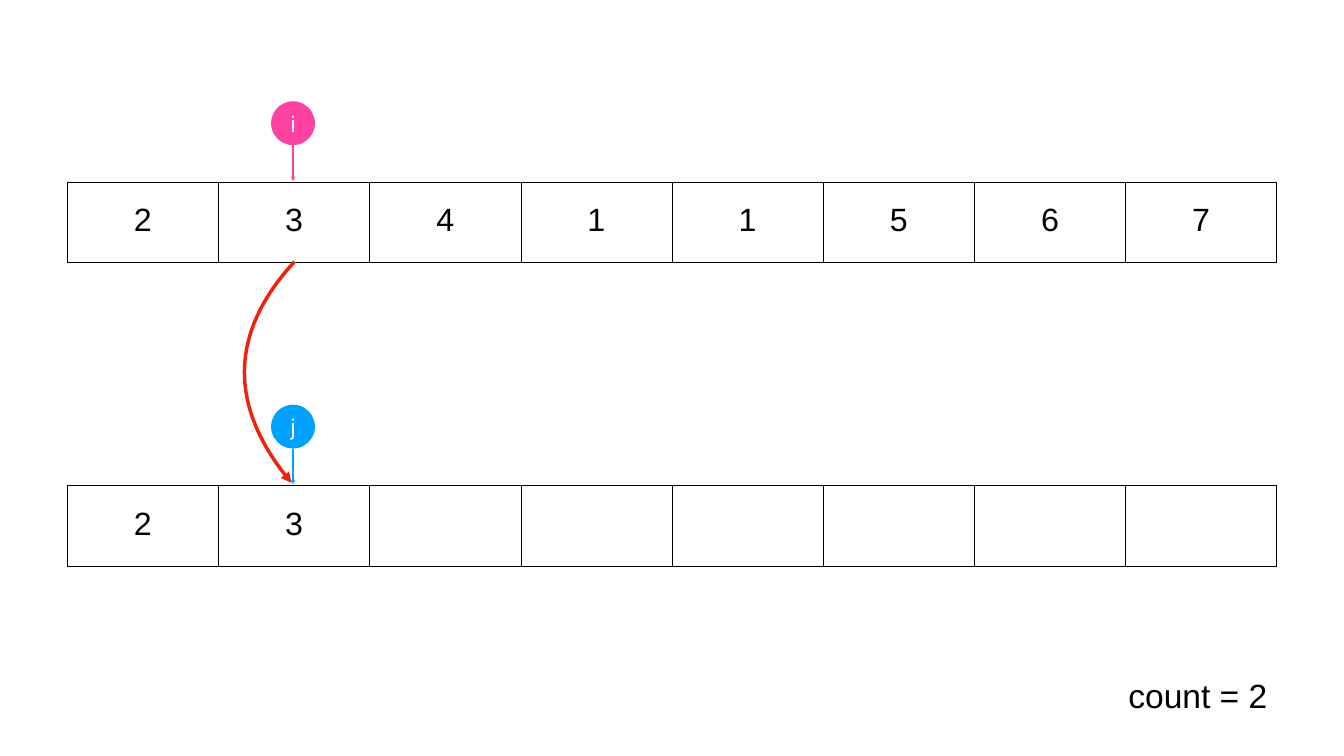
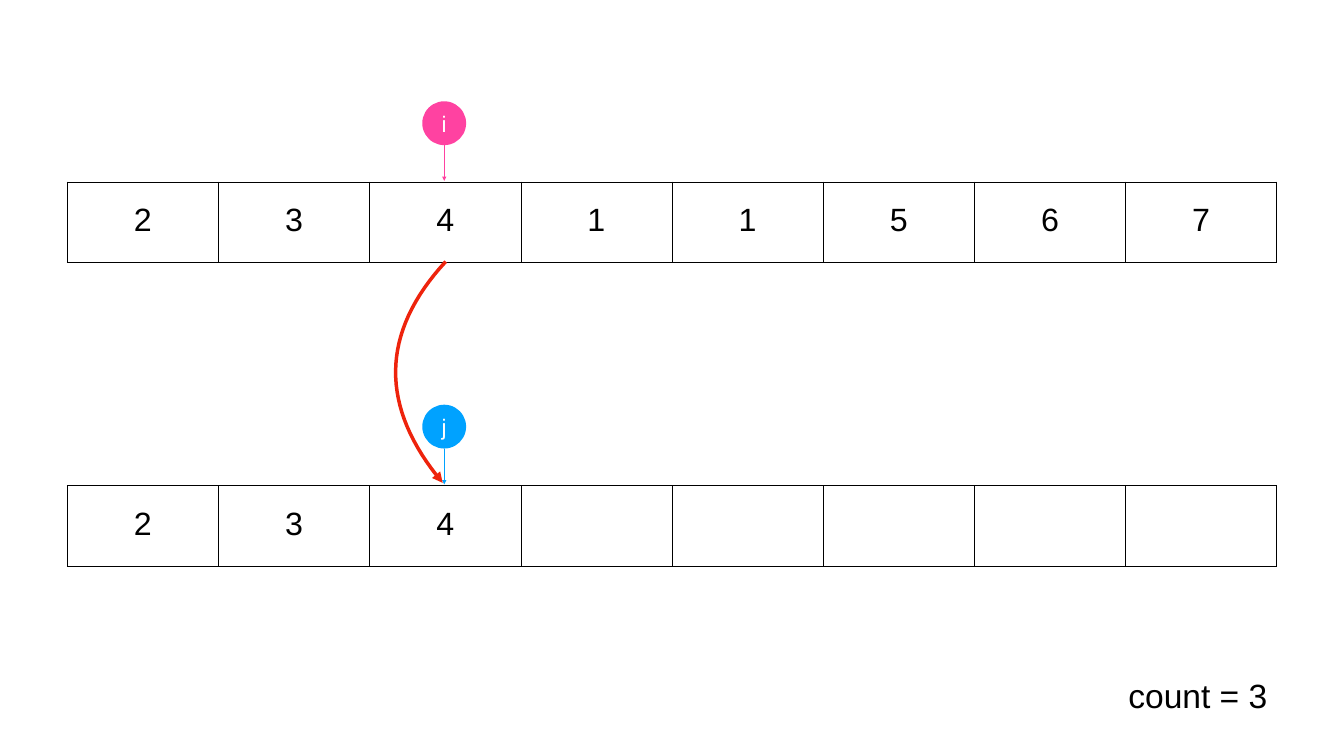
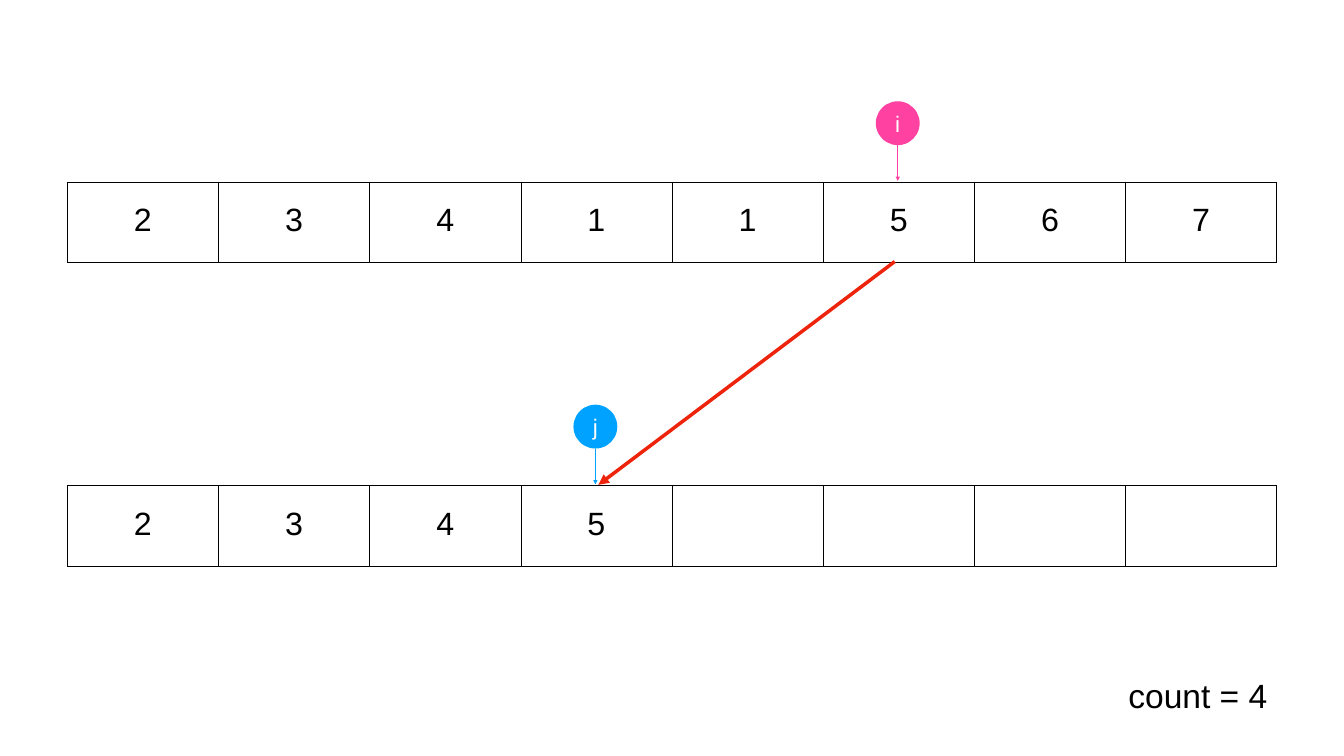
from pptx import Presentation
from pptx.dml.color import RGBColor
from pptx.enum.shapes import MSO_CONNECTOR, MSO_SHAPE
from pptx.enum.text import MSO_ANCHOR, MSO_AUTO_SIZE, PP_ALIGN
from pptx.oxml.ns import qn
from pptx.util import Inches, Pt
from lxml import etree

STRAIGHT = MSO_CONNECTOR.STRAIGHT
OVAL = MSO_SHAPE.OVAL
MIDDLE = MSO_ANCHOR.MIDDLE
FIT_SHAPE = MSO_AUTO_SIZE.SHAPE_TO_FIT_TEXT
LEFT, CENTER = PP_ALIGN.LEFT, PP_ALIGN.CENTER

SLIDE_W, SLIDE_H = 26.67, 15
COLUMNS, COLUMN_W, ROW_H = 8, 3, 1.6
ARRAY_LEFT = (SLIDE_W - COLUMNS * COLUMN_W) / 2
SOURCE_TOP, RESULT_TOP = 3.61, 9.63
BALL, BALL_RISE, BALL_SHIFT = 0.87, 1.6, -0.02
INSET = Inches(0.06)
CURVE_STEPS = 32

BLACK, WHITE = "000000", "FFFFFF"
PINK, BLUE, RED = "FF42A1", "00A2FF", "EE230C"

SOURCE = [2, 3, 4, 1, 1, 5, 6, 7]
STEPS = [(1, 1), (2, 2), (5, 3)]


def color(hex_value):
    return RGBColor.from_string(hex_value)


def column_center(column):
    return ARRAY_LEFT + (column + 0.5) * COLUMN_W


def set_all(target, values):
    for name, value in values.items():
        setattr(target, name, value)


def write(tf, text, size, hex_value, align, spacing=None):
    p = tf.paragraphs[0]
    set_all(p, {"alignment": align, "line_spacing": spacing})
    r = p.add_run()
    r.text = str(text)
    set_all(r.font, {"name": "Arial", "size": Pt(size)})
    r.font.color.rgb = color(hex_value)


def inset_middle(frame, anchor_name):
    sides = ("left", "top", "right", "bottom")
    set_all(frame, {f"margin_{side}": INSET for side in sides})
    setattr(frame, anchor_name, MIDDLE)


def add_borders(cell):
    tc_pr = cell._tc.get_or_add_tcPr()
    for side in ("a:lnL", "a:lnR", "a:lnT", "a:lnB"):
        ln = etree.SubElement(tc_pr, qn(side), w=str(Pt(1)))
        fill = etree.SubElement(ln, qn("a:solidFill"))
        etree.SubElement(fill, qn("a:srgbClr"), val=BLACK)


def add_array(slide, top, values):
    frame = slide.shapes.add_table(
        1, COLUMNS, Inches(ARRAY_LEFT), Inches(top),
        Inches(COLUMNS * COLUMN_W), Inches(ROW_H))
    table = frame.table
    set_all(table, {"first_row": False, "horz_banding": False})
    for column in range(COLUMNS):
        cell = table.cell(0, column)
        inset_middle(cell, "vertical_anchor")
        add_borders(cell)
        cell.fill.background()
        if column < len(values):
            write(cell.text_frame, values[column], 46, BLACK, CENTER, 0.9)


def style_arrow(sp, hex_value, width):
    sp.line.color.rgb = color(hex_value)
    sp.line.width = Pt(width)
    etree.SubElement(sp.line._get_or_add_ln(), qn("a:tailEnd"), type="triangle")


def add_arrow(slide, start, end, hex_value, width):
    sp = slide.shapes.add_connector(
        STRAIGHT, *(Inches(v) for v in (*start, *end)))
    style_arrow(sp, hex_value, width)
    etree.SubElement(sp._element.spPr, qn("a:effectLst"))


def add_pointer(slide, label, column, array_top, hex_value):
    x = column_center(column) + BALL_SHIFT
    top = array_top - BALL_RISE
    sp = slide.shapes.add_shape(
        OVAL, Inches(x - BALL / 2), Inches(top), Inches(BALL), Inches(BALL))
    sp.shadow.inherit = False
    sp.fill.solid()
    sp.fill.fore_color.rgb = color(hex_value)
    sp.line.fill.background()
    inset_middle(sp.text_frame, "vertical_anchor")
    write(sp.text_frame, label, 32, WHITE, CENTER)
    add_arrow(slide, (x, top + BALL), (x, array_top - 0.02), hex_value, 2)


def bezier(points, t):
    weights = ((1 - t) ** 3, 3 * t * (1 - t) ** 2, 3 * t * t * (1 - t), t ** 3)
    return tuple(Inches(sum(w * v for w, v in zip(weights, axis)))
                 for axis in zip(*points))


def add_curved_copy(slide, column):
    x = column_center(column)
    controls = [(x + 0.01, 5.19), (x - 1.3, 6.61), (x - 1.31, 8.08), (x - 0.05, 9.58)]
    start, *rest = [bezier(controls, n / CURVE_STEPS) for n in range(CURVE_STEPS + 1)]
    builder = slide.shapes.build_freeform(*start)
    builder.add_line_segments(rest, close=False)
    sp = builder.convert_to_shape()
    sp.shadow.inherit = False
    sp.fill.background()
    style_arrow(sp, RED, 5)


def add_copy(slide, i, j):
    if i == j:
        add_curved_copy(slide, i)
    else:
        start = column_center(i) - 0.08, 5.19
        end = column_center(j) + 0.04, 9.62
        add_arrow(slide, start, end, RED, 5)


def add_count(slide, count):
    sp = slide.shapes.add_textbox(
        Inches(22.33), Inches(13.35), Inches(3.13), Inches(0.97))
    tf = sp.text_frame
    set_all(tf, {"word_wrap": False, "auto_size": FIT_SHAPE})
    inset_middle(tf, "vertical_anchor")
    write(tf, f"count = {count}", 48, BLACK, LEFT, 0.9)


def add_step(prs, i, j, result):
    slide = prs.slides.add_slide(prs.slide_layouts[6])
    slide.background.fill.solid()
    slide.background.fill.fore_color.rgb = color(WHITE)
    add_array(slide, SOURCE_TOP, SOURCE)
    add_array(slide, RESULT_TOP, result)
    add_pointer(slide, "i", i, SOURCE_TOP, PINK)
    add_pointer(slide, "j", j, RESULT_TOP, BLUE)
    add_count(slide, len(result))
    add_copy(slide, i, j)


def main():
    prs = Presentation()
    set_all(prs, {"slide_width": Inches(SLIDE_W), "slide_height": Inches(SLIDE_H)})
    result = SOURCE[:1]
    for i, j in STEPS:
        result.append(SOURCE[i])
        add_step(prs, i, j, result)
    prs.save("out.pptx")


if __name__ == "__main__":
    main()
